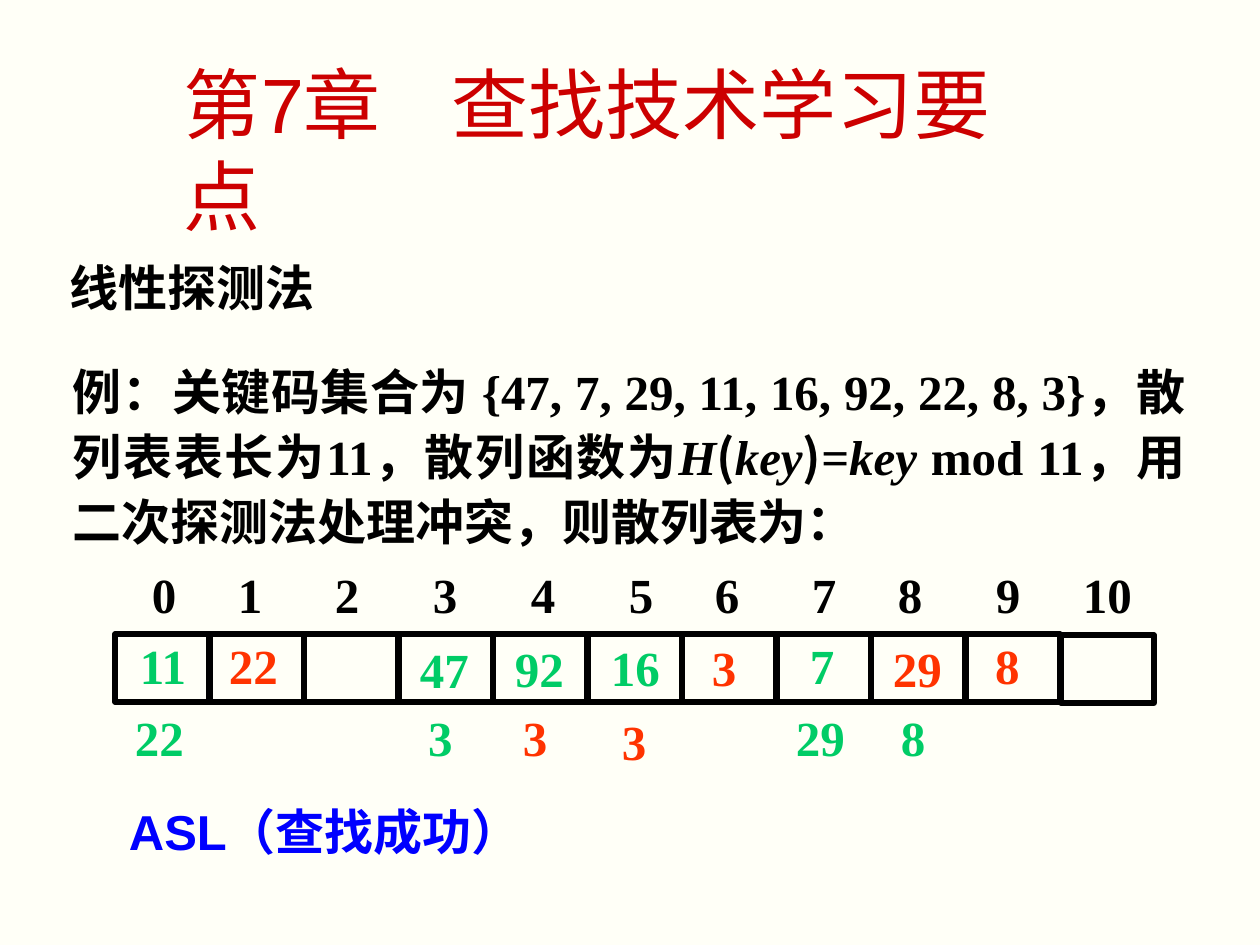
from pptx import Presentation
from pptx import util as u
from pptx.dml.color import RGBColor
from pptx.enum import shapes, text
from pptx.oxml.ns import qn
from lxml import etree

EMU_PER_PX = 914400 // 126
CJK_FONT = "Noto Sans CJK SC"
SERIF, SANS = "Times New Roman", "Arial"

COLOURS = {
    "background": "FFFFF7",
    "title": "CC0000",
    "body": "000000",
    "probe": "00CC66",
    "collision": "FF3300",
    "asl": "0000FF",
}

# Hash table geometry
TABLE_LEFT, TABLE_TOP, CELL_WIDTH, CELL_HEIGHT = 115, 634, 95, 68
INDEX_STOPS = [24, 110, 207, 305, 403, 501, 587, 684, 770, 868, 955]

# Keys: text, left, top, colour
KEYS = [
    # Stored in the table
    ("11", 140, 636, "probe"),
    ("22", 229, 636, "collision"),
    ("47", 420, 640, "probe"),
    ("92", 515, 639, "probe"),
    ("16", 611, 638, "probe"),
    ("3", 712, 638, "collision"),
    ("7", 810, 636, "probe"),
    ("29", 893, 639, "collision"),
    ("8", 995, 636, "collision"),
    # Tried below the table
    ("22", 135, 708, "probe"),
    ("3", 428, 708, "probe"),
    ("3", 523, 708, "collision"),
    ("3", 622, 712, "collision"),
    ("29", 796, 708, "probe"),
    ("8", 901, 708, "probe"),
]


def px(length):
    return u.Emu(length * EMU_PER_PX)


def colour(name):
    return RGBColor.from_string(COLOURS[name])


def add_run(paragraph, words, shade, font=SERIF, size=28, bold=True, italic=False):
    run = paragraph.add_run()
    run.text = words
    style = {"name": font, "size": u.Pt(size), "bold": bold, "italic": italic}
    for key, value in style.items():
        setattr(run.font, key, value)
    run.font.color.rgb = colour(shade)
    east_asian = etree.SubElement(run.font._element, qn("a:ea"))
    east_asian.set("typeface", CJK_FONT)


def add_text_box(slide, left, top, width, height, inset_x=13, inset_y=6,
                 anchor=text.MSO_ANCHOR.TOP, wrap=True):
    frame = slide.shapes.add_textbox(px(left), px(top), px(width), px(height)).text_frame
    layout = {
        "margin_left": px(inset_x), "margin_right": px(inset_x),
        "margin_top": px(inset_y), "margin_bottom": px(inset_y),
        "vertical_anchor": anchor, "word_wrap": wrap,
    }
    for key, value in layout.items():
        setattr(frame, key, value)
    return frame.paragraphs[0]


def set_tab_stops(paragraph, stops):
    tabs = etree.SubElement(paragraph._p.get_or_add_pPr(), qn("a:tabLst"))
    for stop in stops:
        etree.SubElement(tabs, qn("a:tab"), pos=str(px(stop)), algn="l")


def add_cell(slide, left, top, width, height):
    cell = slide.shapes.add_shape(shapes.MSO_SHAPE.RECTANGLE,
                                  px(left), px(top), px(width), px(height))
    cell.shadow.inherit = False
    cell.fill.background()
    cell.line.color.rgb = colour("body")
    cell.line.width = u.Pt(3)


def add_headings(slide):
    title = add_text_box(slide, 171, 101, 900, 95, anchor=text.MSO_ANCHOR.MIDDLE)
    set_tab_stops(title, [268])
    add_run(title, "第7章\t查找技术学习要点", "title", SANS, 44, False)

    method = add_text_box(slide, 57, 251, 469, 72)
    add_run(method, "线性探测法", "body")


def add_example(slide):
    example = add_text_box(slide, 60, 350, 1138, 207)
    example.alignment = text.PP_ALIGN.JUSTIFY
    example.line_spacing = 1.1
    parts = [
        ("例：关键码集合为 {47, 7, 29, 11, 16, 92, 22, 8, 3}，散列表表长为11，散列函数为",
         SERIF, False),
        ("H", SERIF, True),
        ("(", CJK_FONT, False),
        ("key", SERIF, True),
        (")", CJK_FONT, False),
        ("=", SERIF, False),
        ("key", SERIF, True),
        (" mod 11", SERIF, False),
        ("，用二次探测法处理冲突，则散列表为：", CJK_FONT, False),
    ]
    for words, font, italic in parts:
        add_run(example, words, "body", font, italic=italic)


def add_hash_table(slide):
    # Keys in and below the cells
    for key, left, top, shade in KEYS:
        entry = add_text_box(slide, left, top, 32 * len(key), 59, 0, 0)
        add_run(entry, key, shade)

    # Ten equal cells and a slightly offset last one
    for index in range(10):
        add_cell(slide, TABLE_LEFT + index * 189 // 2, TABLE_TOP, CELL_WIDTH, CELL_HEIGHT)
    add_cell(slide, 1061, TABLE_TOP + 1, 93, CELL_HEIGHT)

    # Index row
    indices = add_text_box(slide, TABLE_LEFT, 565, 1032, 59, inset_y=0)
    set_tab_stops(indices, INDEX_STOPS)
    add_run(indices, "".join(f"\t{index}" for index in range(11)), "body")


def main():
    deck = Presentation()
    deck.slide_width, deck.slide_height = px(1260), px(945)
    slide = deck.slides.add_slide(deck.slide_layouts[6])
    slide.background.fill.solid()
    slide.background.fill.fore_color.rgb = colour("background")

    add_example(slide)
    add_headings(slide)
    add_hash_table(slide)

    # Average search length
    asl = add_text_box(slide, 116, 795, 428, 72, wrap=False)
    add_run(asl, "ASL（查找成功）", "asl", SANS)

    deck.save("out.pptx")


if __name__ == "__main__":
    main()
